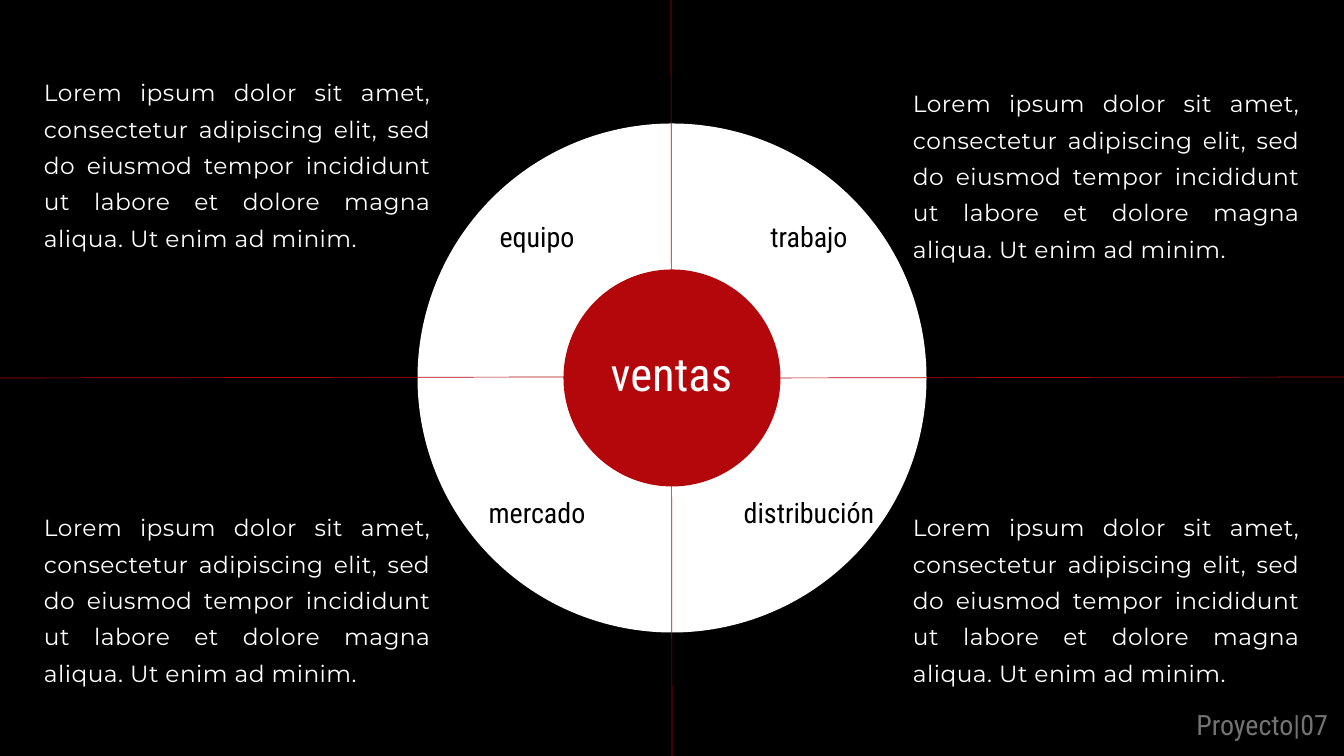
"""Build a slide with a sales ring divided into four labelled quadrants."""
import lxml.etree
import pptx
import pptx.dml.color
import pptx.enum.shapes
import pptx.enum.text
import pptx.oxml.ns
import pptx.util

LOREM = ("Lorem ipsum dolor sit amet, consectetur adipiscing elit, sed do eiusmod tempor "
         "incididunt ut labore et dolore magna aliqua. Ut enim ad minim.")
CENTER_LABEL = "ventas"
FOOTER = "Proyecto|07"
QUADRANTS = [
    {"label": "equipo", "label_at": (471, 230), "body": LOREM, "body_at": (44, 70)},
    {"label": "trabajo", "label_at": (743, 230), "body": LOREM, "body_at": (913, 81)},
    {"label": "mercado", "label_at": (471, 506), "body": LOREM, "body_at": (44, 505)},
    {"label": "distribución", "label_at": (743, 506), "body": LOREM, "body_at": (913, 505)},
]
CIRCLES = [(509, "white"), (217, "red")]
DIVIDERS = [((672, 756), (671, 0)), ((0, 378), (573, 377)), ((743, 378), (1344, 377))]

WIDTH, HEIGHT = 1344, 756
BODY_SIZE, LABEL_SIZE = (387, 175), (132, 26)
SCALE = 914400 / 67.2
ALIGN = pptx.enum.text.PP_ALIGN

THEME = {
    "colors": {"black": "000000", "white": "FFFFFF", "red": "B3070B", "gray": "737373"},
    "line_width": 0.75,
    "styles": {
        "center": {"font": "Roboto Condensed", "size": 50, "leading": 42, "color": "white",
                   "align": ALIGN.CENTER, "tracking": 0},
        "label": {"font": "Roboto Condensed", "size": 30, "leading": 25.2, "color": "black",
                  "align": ALIGN.CENTER, "tracking": 0},
        "footer": {"font": "Roboto Condensed", "size": 30, "leading": 25.2, "color": "gray",
                   "align": ALIGN.RIGHT, "tracking": 0},
        "body": {"font": "Montserrat", "size": 25, "leading": 39, "color": "white",
                 "align": ALIGN.JUSTIFY, "tracking": 50},
    },
}


def px(*lengths):
    return [pptx.util.Emu(round(length * SCALE)) for length in lengths]


def color(name):
    return pptx.dml.color.RGBColor.from_string(THEME["colors"][name])


def set_attributes(target, values):
    for name, value in values.items():
        setattr(target, name, value)


def add_circle(slide, diameter, fill):
    left, top = (WIDTH - diameter) / 2, (HEIGHT - diameter) / 2
    shape = slide.shapes.add_shape(pptx.enum.shapes.MSO_SHAPE.OVAL,
                                   *px(left, top, diameter, diameter))
    shape.shadow.inherit = False
    shape.fill.solid()
    shape.fill.fore_color.rgb = color(fill)
    shape.line.fill.background()


def add_divider(slide, start, end):
    connector = slide.shapes.add_connector(pptx.enum.shapes.MSO_CONNECTOR.STRAIGHT,
                                           *px(*start, *end))
    connector.line.color.rgb = color("red")
    connector.line.width = pptx.util.Pt(THEME["line_width"])
    properties = connector._element.spPr
    lxml.etree.SubElement(properties, pptx.oxml.ns.qn("a:effectLst"))


def add_text(slide, text, position, size, style_name):
    style = THEME["styles"][style_name]
    frame = slide.shapes.add_textbox(*px(*position, *size)).text_frame
    set_attributes(frame, {
        "margin_left": 0, "margin_top": 0, "margin_right": 0, "margin_bottom": 0,
        "word_wrap": True, "auto_size": pptx.enum.text.MSO_AUTO_SIZE.SHAPE_TO_FIT_TEXT,
    })
    paragraph = frame.paragraphs[0]
    set_attributes(paragraph, {"alignment": style["align"],
                               "line_spacing": pptx.util.Pt(style["leading"])})
    run = paragraph.add_run()
    run.text = text
    set_attributes(run.font, {"name": style["font"], "size": pptx.util.Pt(style["size"])})
    run.font.color.rgb = color(style["color"])
    if style["tracking"]:
        run.font._element.set("spc", str(style["tracking"]))


def main():
    presentation = pptx.Presentation()
    presentation.slide_width, presentation.slide_height = px(WIDTH, HEIGHT)
    slide = presentation.slides.add_slide(presentation.slide_layouts[6])
    slide.background.fill.solid()
    slide.background.fill.fore_color.rgb = color("black")

    ring, hub = CIRCLES
    add_circle(slide, *ring)
    for start, end in DIVIDERS:
        add_divider(slide, start, end)
    add_circle(slide, *hub)

    add_text(slide, CENTER_LABEL, (519, 362), (305, 44), "center")
    add_text(slide, FOOTER, (1005, 718), (323, 26), "footer")
    for quadrant in QUADRANTS:
        add_text(slide, quadrant["body"], quadrant["body_at"], BODY_SIZE, "body")
        add_text(slide, quadrant["label"], quadrant["label_at"], LABEL_SIZE, "label")
    presentation.save("out.pptx")


if __name__ == "__main__":
    main()
